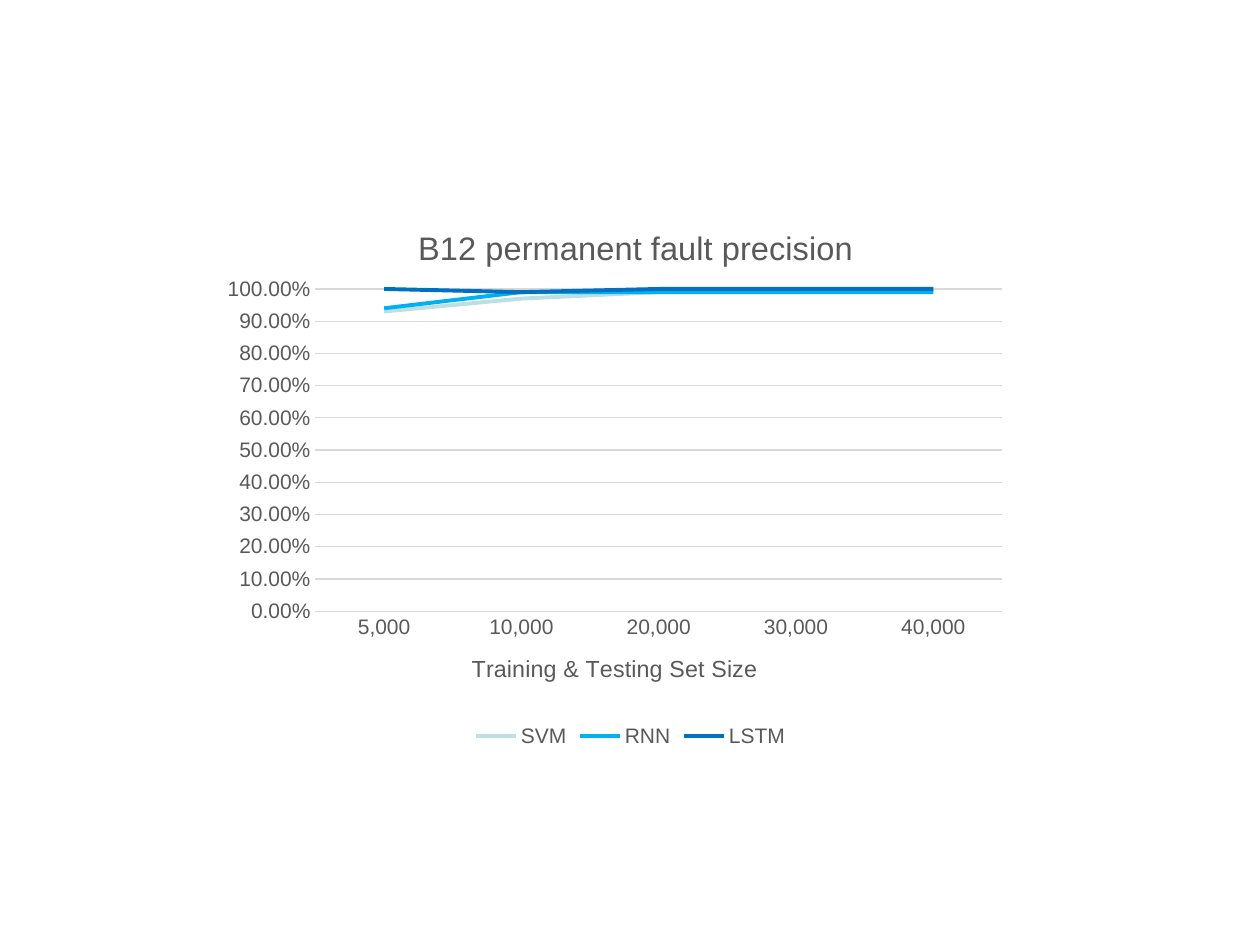
from dataclasses import dataclass

from lxml.etree import SubElement
from pptx import Presentation
from pptx.chart.data import CategoryChartData
from pptx.dml.color import RGBColor
from pptx.enum.chart import XL_CHART_TYPE, XL_LEGEND_POSITION, XL_TICK_MARK
from pptx.oxml import parse_xml
from pptx.oxml.ns import nsdecls, qn
from pptx.util import Inches, Pt


@dataclass(frozen=True)
class Theme:
    font: str = "Arial"
    text: str = "595959"
    grid: str = "D9D9D9"
    title_size: float = 18.6
    axis_title_size: float = 13.3
    label_size: float = 12
    grid_width: float = 0.75
    series_width: float = 2.25


THEME = Theme()
SIZES = ("5,000", "10,000", "20,000", "30,000", "40,000")
PRECISION = {
    "SVM": ("BBE0E3", (0.93, 0.97, 0.99, 0.99, 1)),
    "RNN": ("00B0F0", (0.94, 0.99, 0.99, 0.99, 0.99)),
    "LSTM": ("0070C0", (1, 0.99, 1, 1, 1)),
}


def set_attributes(target, values):
    for name, value in values.items():
        setattr(target, name, value)


def style_font(font, size):
    set_attributes(font, {"name": THEME.font, "size": Pt(size), "bold": False})
    font.color.rgb = RGBColor.from_string(THEME.text)


def style_line(line, color, width):
    line.color.rgb = RGBColor.from_string(color)
    line.width = Pt(width)


def write_title(title, text, size):
    title.text_frame.text = text
    style_font(title.text_frame.paragraphs[0].runs[0].font, size)


def place(element, index, **fractions):
    """Give a chart part a fixed position, in fractions of the chart area."""
    for old_layout in element.findall(qn("c:layout")):
        element.remove(old_layout)
    layout = parse_xml(f"<c:layout {nsdecls('c')}><c:manualLayout/></c:layout>")
    for name, value in fractions.items():
        SubElement(layout[0], qn(f"c:{name}")).set("val", str(value))
    element.insert(index, layout)


def format_axes(chart):
    sizes, precision = chart.category_axis, chart.value_axis
    for axis in (sizes, precision):
        set_attributes(axis, {"major_tick_mark": XL_TICK_MARK.NONE,
                              "minor_tick_mark": XL_TICK_MARK.NONE})
        style_font(axis.tick_labels.font, THEME.label_size)
    write_title(sizes.axis_title, "Training & Testing Set Size", THEME.axis_title_size)
    style_line(sizes.format.line, THEME.grid, THEME.grid_width)

    set_attributes(precision, {"minimum_scale": 0, "maximum_scale": 1,
                               "major_unit": 0.1, "has_major_gridlines": True})
    set_attributes(precision.tick_labels, {"number_format": "0.00%",
                                           "number_format_is_linked": False})
    precision.format.line.fill.background()
    style_line(precision.major_gridlines.format.line, THEME.grid, THEME.grid_width)
    # Lines start on the value axis instead of half a category in.
    for cross_between in chart._chartSpace.iter(qn("c:crossBetween")):
        cross_between.set("val", "midCat")


def format_series(chart):
    chart.plots[0].vary_by_categories = False
    for series in chart.plots[0].series:
        series.smooth = False
        style_line(series.format.line, PRECISION[series.name][0], THEME.series_width)


def format_legend(chart):
    chart.has_legend = True
    set_attributes(chart.legend, {"position": XL_LEGEND_POSITION.BOTTOM,
                                  "include_in_layout": False})
    style_font(chart.legend.font, THEME.label_size)


def add_precision_chart(slide):
    data = CategoryChartData(number_format="0.00%")
    data.categories = SIZES
    for name, (_, values) in PRECISION.items():
        data.add_series(name, values)
    chart = slide.shapes.add_chart(
        XL_CHART_TYPE.LINE, Inches(1.67), Inches(1.53), Inches(6.67), Inches(4.44), data
    ).chart
    style_font(chart.font, THEME.label_size)
    write_title(chart.chart_title, "B12 permanent fault precision", THEME.title_size)
    chart.chart_title.include_in_layout = False
    format_axes(chart)
    format_series(chart)
    format_legend(chart)

    title = chart._chartSpace.find(f".//{qn('c:chart')}/{qn('c:title')}")
    place(title, 1, xMode="edge", yMode="edge", x=0.24, y=0.05)
    plot_area = chart._chartSpace.find(f".//{qn('c:plotArea')}")
    place(plot_area, 0, layoutTarget="inner", xMode="edge", yMode="edge",
          x=0.125, y=0.172, w=0.817, h=0.576)


def main():
    presentation = Presentation()
    set_attributes(presentation, {"slide_width": Inches(10), "slide_height": Inches(7.5)})
    slide = presentation.slides.add_slide(presentation.slide_layouts[6])
    add_precision_chart(slide)
    presentation.save("out.pptx")


if __name__ == "__main__":
    main()
